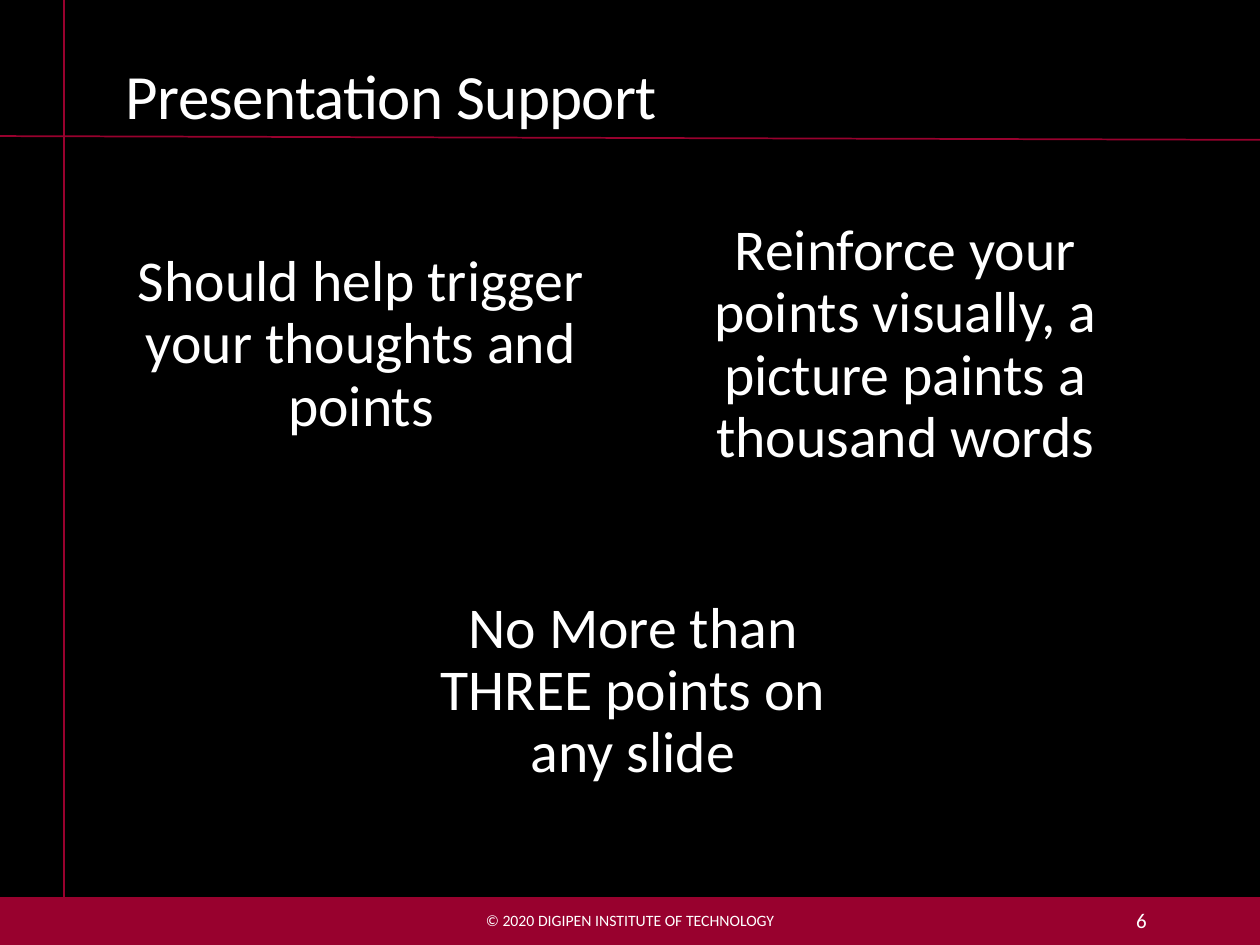
from dataclasses import dataclass

from lxml import etree
from pptx import Presentation
from pptx.dml.color import RGBColor
from pptx.enum.shapes import MSO_CONNECTOR, MSO_SHAPE
from pptx.enum.text import MSO_ANCHOR, PP_ALIGN
from pptx.oxml.ns import qn
from pptx.util import Inches, Pt

LEFT, CENTER, RIGHT = PP_ALIGN.LEFT, PP_ALIGN.CENTER, PP_ALIGN.RIGHT
MIDDLE, BOTTOM = MSO_ANCHOR.MIDDLE, MSO_ANCHOR.BOTTOM
RECT, STRAIGHT = MSO_SHAPE.RECTANGLE, MSO_CONNECTOR.STRAIGHT

BLACK = RGBColor(0x00, 0x00, 0x00)
WHITE = RGBColor(0xFF, 0xFF, 0xFF)
CRIMSON = RGBColor(0x98, 0x01, 0x2E)
FONT = "Calibri"

SLIDE_W, SLIDE_H = 10, 7.5
FOOTER_TOP = 7.12

# Card grid: origin, card size and gap
GRID_X, GRID_Y = 0.9, 1.56
CARD_W, CARD_H, GAP = 3.93, 2.36, 0.39


@dataclass
class Card:
    col: float
    row: float
    text: str


CARDS = [
    Card(0, 0, "Should help trigger your thoughts and points"),
    Card(1, 0, "Reinforce your points visually, a picture paints a thousand words"),
    Card(0.5, 1, "No More than THREE points on any slide"),
]


def add_rect(s, x: float, y: float, w: float, h: float, color: RGBColor):
    sp = s.shapes.add_shape(RECT, Inches(x), Inches(y), Inches(w), Inches(h))
    sp.shadow.inherit = False
    sp.fill.solid()
    sp.fill.fore_color.rgb = color
    sp.line.fill.background()
    return sp


def add_rule(s, x1: float, y1: float, x2: float, y2: float) -> None:
    line = s.shapes.add_connector(STRAIGHT, Inches(x1), Inches(y1), Inches(x2), Inches(y2))
    line.line.color.rgb = CRIMSON
    line.line.width = Pt(1)
    etree.SubElement(line._element.spPr, qn("a:effectLst"))


def add_textbox(s, x: float, y: float, w: float, h: float):
    return s.shapes.add_textbox(Inches(x), Inches(y), Inches(w), Inches(h))


def write(sp, text: str, *, size: float, align=LEFT, anchor=MIDDLE,
          spacing: float = 1.0, tracking: float = 0, inset: float | None = None) -> None:
    tf = sp.text_frame
    tf.word_wrap = True
    tf.vertical_anchor = anchor
    if inset is not None:
        tf.margin_left = tf.margin_right = tf.margin_top = tf.margin_bottom = Inches(inset)
    p = tf.paragraphs[0]
    p.alignment = align
    p.line_spacing = spacing
    r = p.add_run()
    r.text = text
    r.font.name = FONT
    r.font.size = Pt(size)
    r.font.color.rgb = WHITE
    if tracking:
        r._r.get_or_add_rPr().set("spc", str(round(tracking * 100)))


def add_card(s, card: Card) -> None:
    x = GRID_X + card.col * (CARD_W + GAP)
    y = GRID_Y + card.row * (CARD_H + GAP)
    sp = add_rect(s, x, y, CARD_W, CARD_H, BLACK)
    write(sp, card.text, size=33, align=CENTER, spacing=0.9, inset=0.14)


def main() -> None:
    prs = Presentation()
    prs.slide_width, prs.slide_height = Inches(SLIDE_W), Inches(SLIDE_H)
    s = prs.slides.add_slide(prs.slide_layouts[6])
    s.background.fill.solid()
    s.background.fill.fore_color.rgb = BLACK

    # Footer band and crossing rules
    add_rect(s, 0, FOOTER_TOP, SLIDE_W, SLIDE_H - FOOTER_TOP, CRIMSON)
    add_rect(s, 0, 7.06, SLIDE_W, 0.05, BLACK)
    add_rule(s, 0.51, 0, 0.51, FOOTER_TOP)
    add_rule(s, 0, 1.08, SLIDE_W, 1.11)

    # Title
    write(add_textbox(s, GRID_X, 0.16, 2 * CARD_W + GAP, 0.94), "Presentation Support",
          size=36, anchor=BOTTOM, spacing=0.85, tracking=-0.4)

    # Footer text
    write(add_textbox(s, 3.02, 7.1, 3.96, 0.4), "© 2020 DIGIPEN INSTITUTE OF TECHNOLOGY",
          size=9, align=CENTER)
    write(add_textbox(s, 8.12, 7.1, 1.08, 0.4), "6", size=12, align=RIGHT)

    # Three points
    for card in CARDS:
        add_card(s, card)

    prs.save("out.pptx")


if __name__ == "__main__":
    main()
